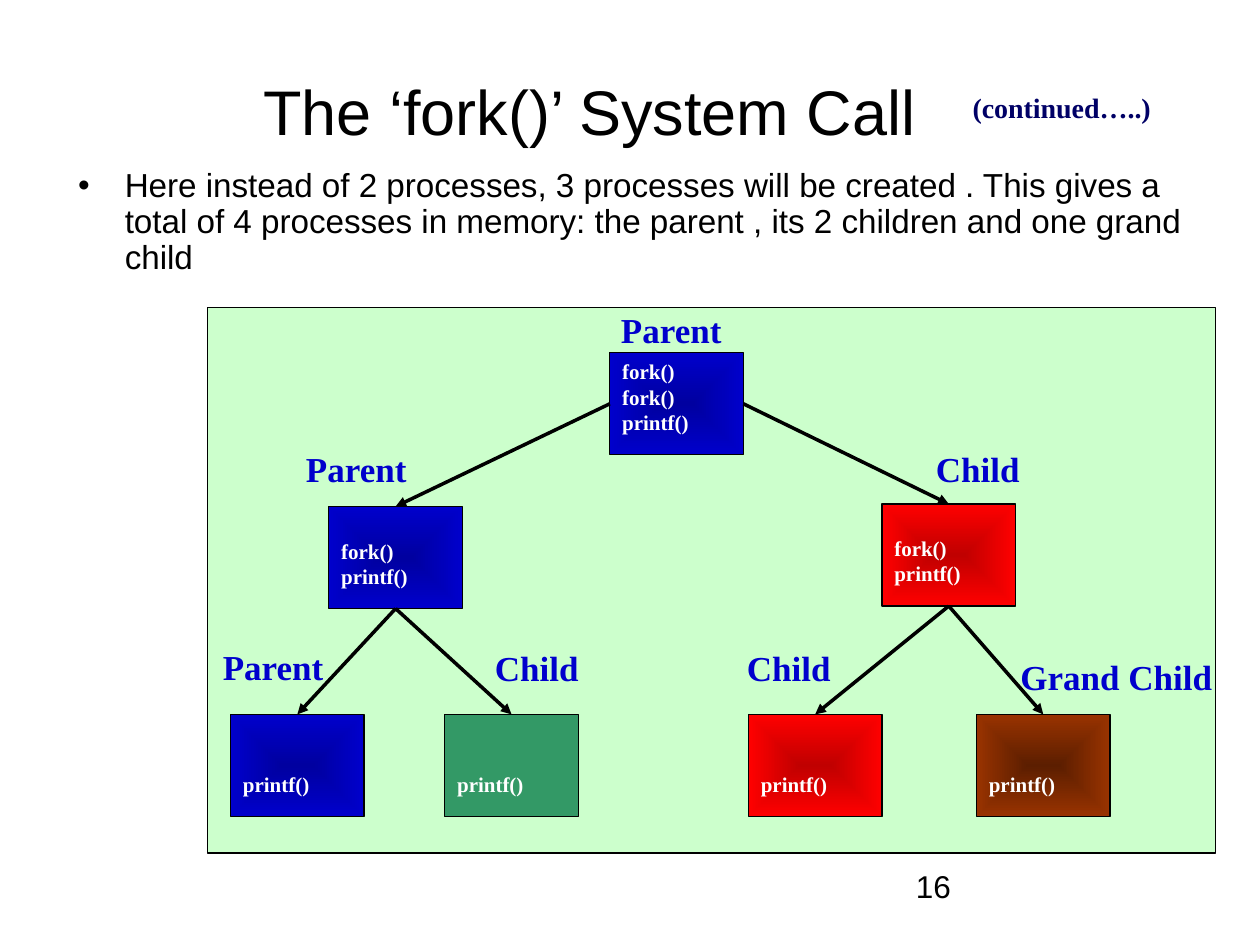
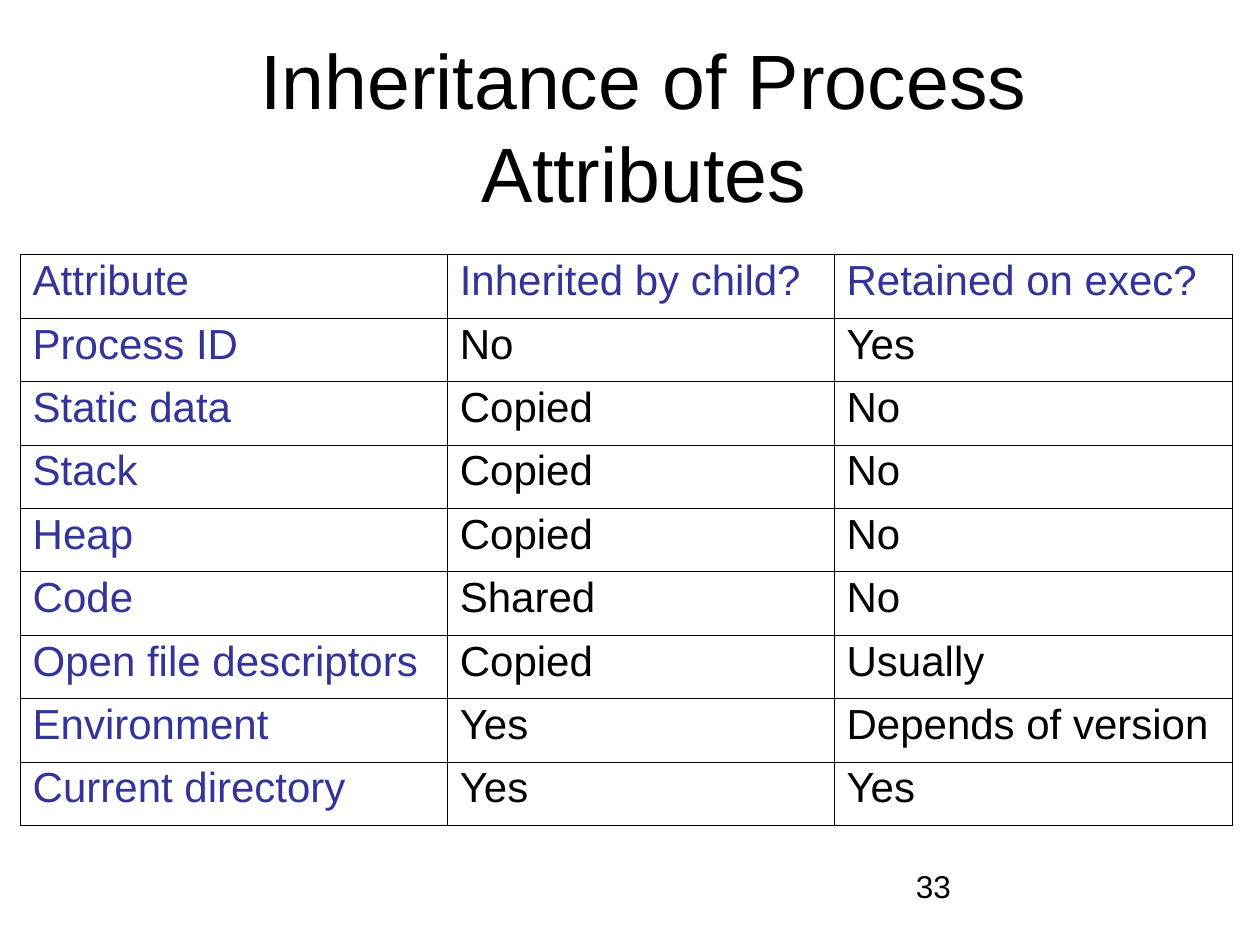
from pptx import Presentation
from pptx.dml.color import RGBColor
from pptx.enum.shapes import MSO_CONNECTOR, MSO_SHAPE
from pptx.enum.text import MSO_ANCHOR, MSO_AUTO_SIZE, PP_ALIGN
from pptx.oxml.ns import qn
from pptx.util import Inches, Pt
from lxml.etree import SubElement

COLORS = {
    "black": "000000", "white": "FFFFFF", "panel": "CCFFCC", "label": "0000CC",
    "note": "000066", "heading": "333399", "green": "339966",
}
# Process colours that run from a dark centre to a bright edge
GLOWS = {
    "blue": ("0000A0", "0000CC"),
    "red": ("C00000", "FF0000"),
    "brown": ("5C1E00", "993300"),
}
SANS, SERIF = "Arial", "Times New Roman"
FORMATS = {
    "title": {"name": SANS, "size": Pt(44), "color": "black"},
    "small title": {"name": SANS, "size": Pt(36), "color": "black"},
    "body": {"name": SANS, "size": Pt(19), "color": "black"},
    "number": {"name": SANS, "size": Pt(18), "color": "black"},
    "heading": {"name": SANS, "size": Pt(24), "color": "heading"},
    "value": {"name": SANS, "size": Pt(24), "color": "black"},
    "note": {"name": SERIF, "size": Pt(16), "bold": True, "color": "note"},
    "label": {"name": SERIF, "size": Pt(20), "bold": True, "color": "label"},
    "code": {"name": SERIF, "size": Pt(12), "bold": True, "color": "white"},
}
TOP, LEFT, BOTTOM, RIGHT = range(4)  # connection sites of a rectangle
BOX_SIZE = (1.06, 0.81)
CODE_ROWS, CODE_ROW_HEIGHT = 3, 0.2


def rgb(color):
    return RGBColor.from_string(COLORS.get(color, color))


def inches(*lengths):
    return [Inches(length) for length in lengths]


class Deck:
    def __init__(self):
        self.prs = Presentation()
        self.prs.slide_width, self.prs.slide_height = inches(10, 7.5)
        self.slide = None

    def new_slide(self, layout, number):
        self.slide = self.prs.slides.add_slide(self.prs.slide_layouts[layout])
        self.text(number, (7.17, 6.83, 2.33, 0.52), "number")

    def fill_text(self, frame, text, style, **paragraph_format):
        frame.text = text
        paragraph_format = {"alignment": PP_ALIGN.LEFT, "space_before": Pt(0),
                            **paragraph_format}
        for paragraph in frame.paragraphs:
            for key, value in paragraph_format.items():
                setattr(paragraph, key, value)
            for run in paragraph.runs:
                for key, value in FORMATS[style].items():
                    if key == "color":
                        run.font.color.rgb = rgb(value)
                    else:
                        setattr(run.font, key, value)

    def place(self, holder, area):
        holder.left, holder.top, holder.width, holder.height = inches(*area)
        holder.text_frame.auto_size = MSO_AUTO_SIZE.NONE
        return holder.text_frame

    def title(self, text, area, style="title"):
        frame = self.place(self.slide.shapes.title, area)
        frame.vertical_anchor = MSO_ANCHOR.MIDDLE
        self.fill_text(frame, text, style, alignment=PP_ALIGN.CENTER)

    def bullet(self, text, area):
        frame = self.place(self.slide.placeholders[1], area)
        self.fill_text(frame, text, "body", line_spacing=0.9)
        properties = frame.paragraphs[0]._p.get_or_add_pPr()
        indent = Inches(0.37)
        properties.set("marL", str(indent))
        properties.set("indent", str(-indent))
        bullet_color = SubElement(properties, qn("a:buClr"))
        SubElement(bullet_color, qn("a:srgbClr"), val=COLORS["black"])
        SubElement(properties, qn("a:buChar"), char="•")

    def text(self, text, area, style, wrap=True):
        frame = self.slide.shapes.add_textbox(*inches(*area)).text_frame
        frame.word_wrap = wrap
        self.fill_text(frame, text, style)

    def rectangle(self, area, color):
        box = self.slide.shapes.add_shape(MSO_SHAPE.RECTANGLE, *inches(*area))
        box.shadow.inherit = False
        box.line.color.rgb = rgb("black")
        box.line.width = Pt(0.75)
        if color in GLOWS:
            self.glow(box, GLOWS[color])
        else:
            box.fill.solid()
            box.fill.fore_color.rgb = rgb(color)
        return box

    def glow(self, box, shades):
        box.fill.gradient()
        for stop, shade in zip(box.fill.gradient_stops, shades):
            stop.color.rgb = rgb(shade)
        gradient = box._element.spPr.find(qn("a:gradFill"))
        gradient.remove(gradient.find(qn("a:lin")))
        focus = SubElement(gradient, qn("a:path"), path="rect")
        SubElement(focus, qn("a:fillToRect"), dict.fromkeys("ltrb", "50000"))

    def process(self, left, top, color, code):
        box = self.rectangle((left, top, *BOX_SIZE), color)
        frame = box.text_frame
        frame.vertical_anchor = MSO_ANCHOR.TOP
        # Calls already made leave their rows free at the top
        done = CODE_ROWS - len(code)
        frame.margin_top = Inches(0.05 + done * CODE_ROW_HEIGHT)
        self.fill_text(frame, "\n".join(code), "code")
        return box

    def arrow(self, start, start_site, end):
        link = self.slide.shapes.add_connector(MSO_CONNECTOR.STRAIGHT, 0, 0, 0, 0)
        link.begin_connect(start, start_site)
        link.end_connect(end, TOP)
        link.line.color.rgb = rgb("black")
        link.line.width = Pt(2)
        outline = link._element.spPr.find(qn("a:ln"))
        SubElement(outline, qn("a:tailEnd"), type="triangle")
        SubElement(link._element.spPr, qn("a:effectLst"))

    def table(self, rows, area, widths):
        table = self.slide.shapes.add_table(
            len(rows), len(widths), *inches(*area)).table
        table.first_row = table.horz_banding = False
        for column, width in zip(table.columns, widths):
            column.width = Inches(width)
        last_row, last_column = len(rows) - 1, len(widths) - 1
        for r, row in enumerate(rows):
            for c, text in enumerate(row):
                cell = table.cell(r, c)
                style = "heading" if r == 0 or c == 0 else "value"
                self.fill_text(cell.text_frame, text, style, line_spacing=0.93)
                outer = {"L": c == 0, "R": c == last_column,
                         "T": r == 0, "B": r == last_row}
                self.borders(cell, outer)
                cell.fill.background()

    def borders(self, cell, outer):
        properties = cell._tc.get_or_add_tcPr()
        for side, is_outer in outer.items():
            width = Pt(0.5 if is_outer else 0.23)
            edge = SubElement(properties, qn(f"a:ln{side}"), w=str(width))
            fill = SubElement(edge, qn("a:solidFill"))
            SubElement(fill, qn("a:srgbClr"), val=COLORS["black"])


def fork_slide(deck):
    deck.new_slide(1, "16")
    deck.title("The ‘fork()’ System Call", (0.43, 0.5, 8.5, 0.75), "small title")
    deck.text("(continued…..)", (7.62, 0.67, 1.62, 0.37), "note", wrap=False)
    deck.bullet("Here instead of 2 processes, 3 processes will be created . "
                "This gives a total of 4 processes in memory: the parent , "
                "its 2 children and one grand child", (0.52, 1.29, 9, 1.19))
    deck.rectangle((1.65, 2.44, 8, 4.33), "panel")

    # Process tree: left, top, colour, calls still to run
    calls = ["fork()", "fork()", "printf()"]
    root = deck.process(4.84, 2.8, "blue", calls)
    parent = deck.process(2.61, 4.02, "blue", calls[1:])
    child = deck.process(7, 4, "red", calls[1:])
    deck.arrow(root, LEFT, parent)
    deck.arrow(root, RIGHT, child)
    leaves = [(parent, 1.83, "blue"), (parent, 3.53, "green"),
              (child, 5.94, "red"), (child, 7.75, "brown")]
    for forker, left, color in leaves:
        leaf = deck.process(left, 5.67, color, calls[2:])
        deck.arrow(forker, BOTTOM, leaf)

    # Process names
    names = [("Parent", 4.83, 2.4), ("Parent", 2.33, 3.5), ("Child", 7.33, 3.5),
             ("Parent", 1.67, 5.07), ("Child", 3.83, 5.08), ("Child", 5.83, 5.08),
             ("Grand Child", 8, 5.15)]
    for name, left, top in names:
        width = 1.83 if name == "Grand Child" else 1.17
        deck.text(name, (left, top, width, 0.44), "label")


def inheritance_slide(deck):
    deck.new_slide(5, "33")
    deck.title("Inheritance of Process Attributes", (0.63, 0.21, 8.96, 1.57))
    attributes = [
        ("Attribute", "Inherited by child?", "Retained on exec?"),
        ("Process ID", "No", "Yes"),
        ("Static data", "Copied", "No"),
        ("Stack", "Copied", "No"),
        ("Heap", "Copied", "No"),
        ("Code", "Shared", "No"),
        ("Open file descriptors", "Copied", "Usually"),
        ("Environment", "Yes", "Depends of version"),
        ("Current directory", "Yes", "Yes"),
    ]
    deck.table(attributes, (0.16, 2.02, 9.62, 4.53), (3.39, 3.07, 3.16))


def main():
    deck = Deck()
    fork_slide(deck)
    inheritance_slide(deck)
    deck.prs.save("out.pptx")


if __name__ == "__main__":
    main()
